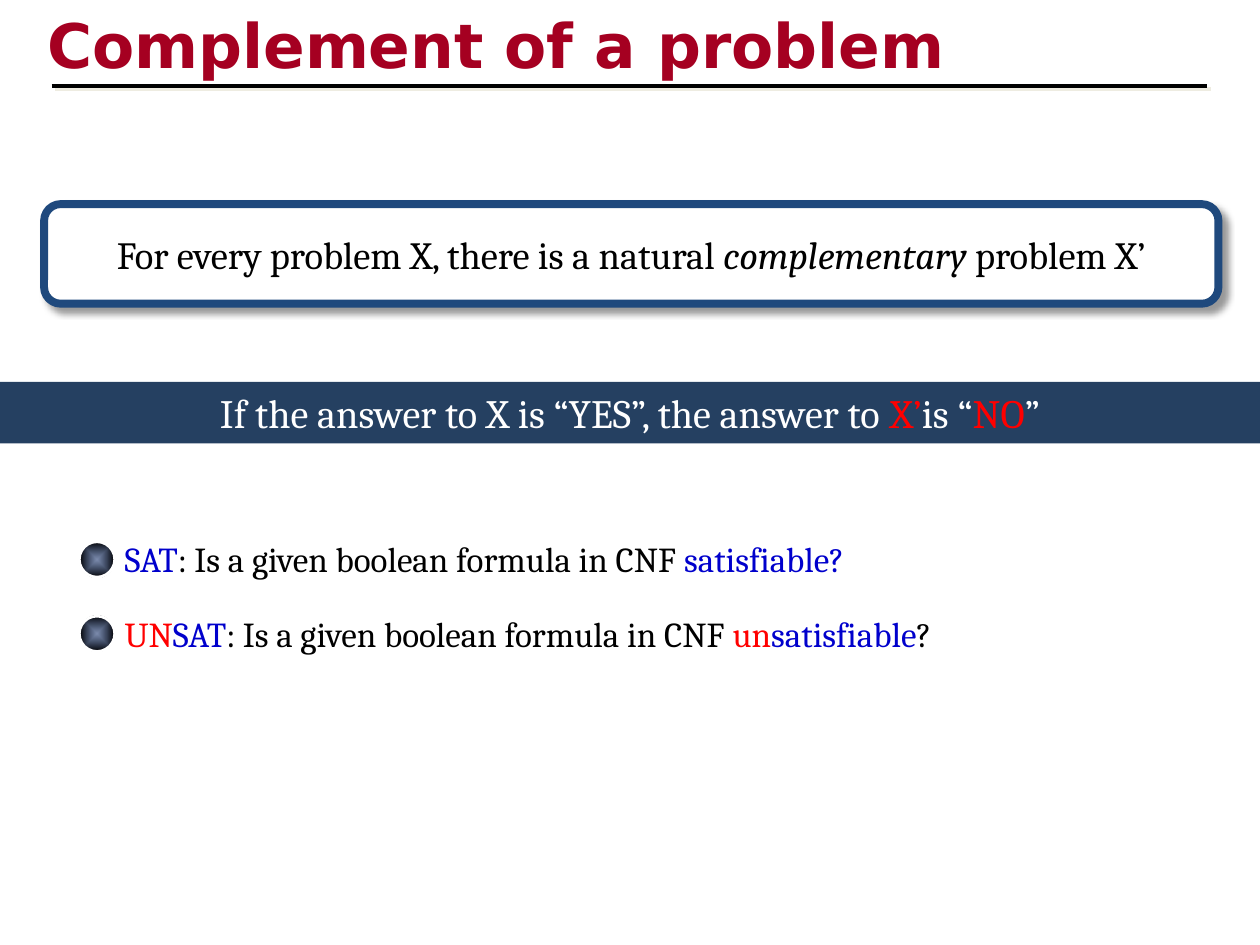
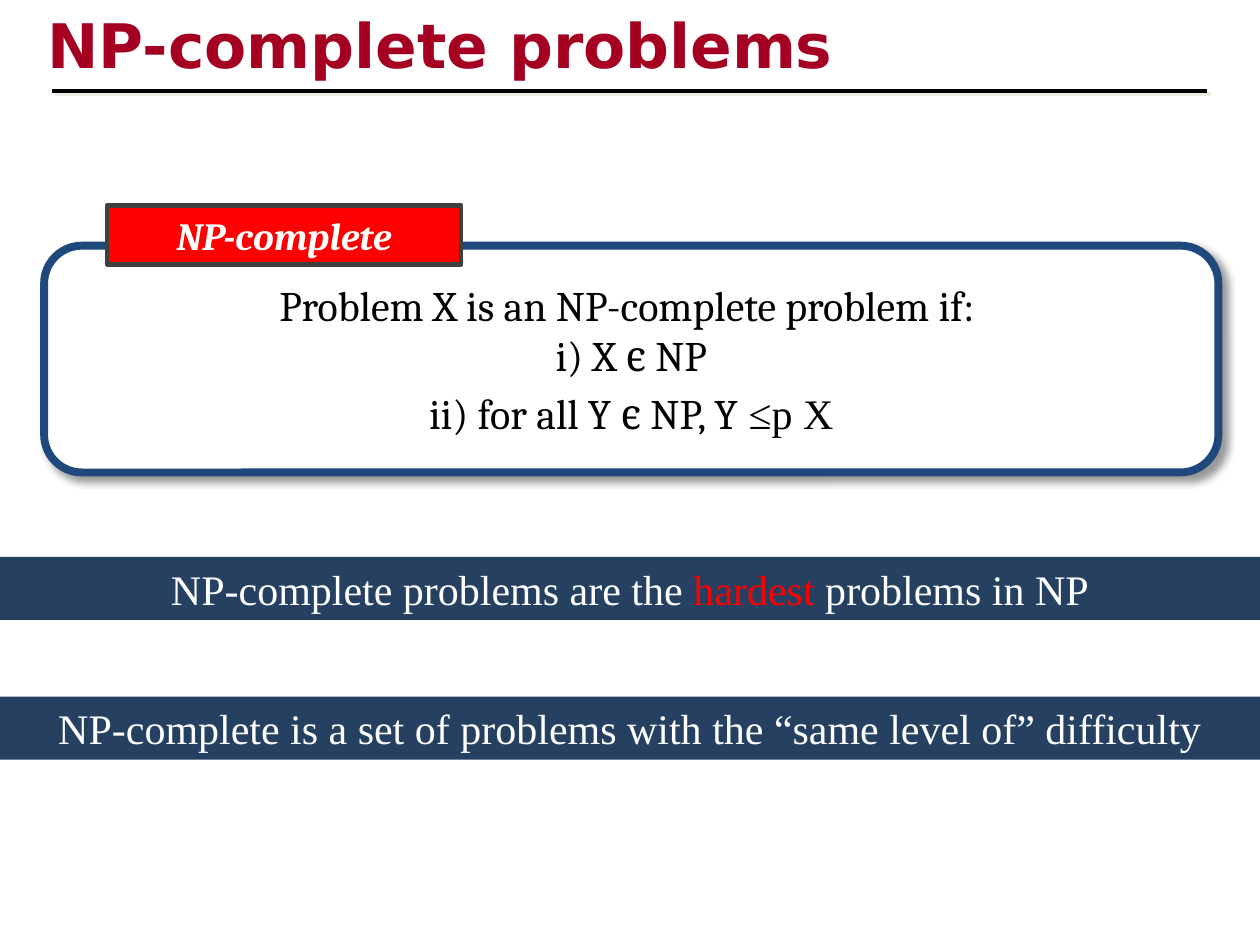
from dataclasses import dataclass
from typing import Optional

from lxml import etree
from pptx import Presentation
from pptx.dml.color import RGBColor
from pptx.enum.shapes import MSO_CONNECTOR, MSO_SHAPE
from pptx.enum.text import MSO_ANCHOR, MSO_AUTO_SIZE, PP_ALIGN
from pptx.oxml.ns import qn
from pptx.shapes.autoshape import Shape
from pptx.slide import Slide
from pptx.util import Inches, Pt

RECTANGLE = MSO_SHAPE.RECTANGLE
ROUNDED = MSO_SHAPE.ROUNDED_RECTANGLE
OVAL = MSO_SHAPE.OVAL
STRAIGHT = MSO_CONNECTOR.STRAIGHT
TOP, MIDDLE = MSO_ANCHOR.TOP, MSO_ANCHOR.MIDDLE
LEFT, CENTER = PP_ALIGN.LEFT, PP_ALIGN.CENTER
GROW, FIXED = MSO_AUTO_SIZE.SHAPE_TO_FIT_TEXT, MSO_AUTO_SIZE.NONE


@dataclass(frozen=True)
class Theme:
    title: str = "A50021"
    title_shadow: str = "EEECE1"
    black: str = "000000"
    white: str = "FFFFFF"
    red: str = "FF0000"
    blue: str = "0000CC"
    frame: str = "1F497D"
    band: str = "254061"
    label_border: str = "404040"
    bullet: str = "002060"
    title_font: str = "DejaVu Sans"
    body_font: str = "Cambria"
    band_font: str = "Times New Roman"
    title_size: float = 35.1
    item_size: float = 20
    text_size: float = 22
    band_size: float = 23
    large_size: float = 24
    gap_size: float = 28


THEME = Theme()


@dataclass(frozen=True)
class Run:
    text: str
    color: str = THEME.black
    size: float = THEME.text_size
    font: str = THEME.body_font
    bold: bool = False
    italic: bool = False


@dataclass(frozen=True)
class Box:
    left: float
    top: float
    width: float
    height: float

    def lengths(self) -> list[int]:
        return [Inches(value) for value in (self.left, self.top, self.width, self.height)]


@dataclass(frozen=True)
class Shadow:
    color: str
    opacity: int
    blur: float
    distance: float


@dataclass(frozen=True)
class Band:
    top: float
    height: float
    runs: list[Run]


TITLE_SHADOW = Shadow(THEME.title_shadow, 100, 0, 2.8)
FRAME_SHADOW = Shadow(THEME.black, 40, 4, 4)


def add_color(parent: etree._Element, color: str, opacity: int) -> None:
    element = etree.SubElement(parent, qn("a:srgbClr"), val=color)
    if opacity < 100:
        etree.SubElement(element, qn("a:alpha"), val=str(opacity * 1000))


def shadow_effect(shadow: Shadow) -> etree._Element:
    effects = etree.Element(qn("a:effectLst"))
    outer = etree.SubElement(
        effects, qn("a:outerShdw"), blurRad=str(Pt(shadow.blur)),
        dist=str(Pt(shadow.distance)), dir="2700000", algn="tl", rotWithShape="0",
    )
    add_color(outer, shadow.color, shadow.opacity)
    return effects


def radial_fill(center: str, opacity: int, edge: str) -> etree._Element:
    gradient = etree.Element(qn("a:gradFill"), rotWithShape="1")
    stops = etree.SubElement(gradient, qn("a:gsLst"))
    for position, color, alpha in ((0, center, opacity), (100, edge, 100)):
        stop = etree.SubElement(stops, qn("a:gs"), pos=str(position * 1000))
        add_color(stop, color, alpha)
    shading = etree.SubElement(gradient, qn("a:path"), {"path": "shape"})
    etree.SubElement(shading, qn("a:fillToRect"), l="50000", t="50000", r="50000", b="50000")
    return gradient


def write(shape: Shape, paragraphs: list[list[Run]], align: PP_ALIGN = CENTER,
          anchor: MSO_ANCHOR = TOP, wrap: bool = True,
          auto_size: MSO_AUTO_SIZE = GROW) -> None:
    frame = shape.text_frame
    frame.word_wrap = wrap
    frame.auto_size = auto_size
    frame.vertical_anchor = anchor
    for index, runs in enumerate(paragraphs):
        paragraph = frame.add_paragraph() if index else frame.paragraphs[0]
        paragraph.alignment = align
        for style in runs:
            run = paragraph.add_run()
            run.text = style.text
            font = run.font
            font.size = Pt(style.size)
            font.bold = style.bold
            font.italic = style.italic
            font.color.rgb = RGBColor.from_string(style.color)
            font.name = style.font


def add_shape(shapes, kind: MSO_SHAPE, box: Box, fill: str,
              line: Optional[str] = None, weight: float = 0) -> Shape:
    shape = shapes.add_shape(kind, *box.lengths())
    shape.shadow.inherit = False
    shape.fill.solid()
    shape.fill.fore_color.rgb = RGBColor.from_string(fill)
    if line:
        shape.line.color.rgb = RGBColor.from_string(line)
        shape.line.width = Pt(weight)
    else:
        shape.line.fill.background()
    return shape


def add_title(slide: Slide, text: str, rule_top: float) -> None:
    title = slide.shapes.add_textbox(*Box(0.28, 0.01, 8.5, 0.67).lengths())
    style = Run(text, THEME.title, THEME.title_size, THEME.title_font, bold=True)
    write(title, [[style]], align=LEFT, auto_size=FIXED)
    fill = title.text_frame.paragraphs[0].runs[0].font._element.find(qn("a:solidFill"))
    fill.addnext(shadow_effect(TITLE_SHADOW))
    rule = slide.shapes.add_connector(
        STRAIGHT, Inches(0.41), Inches(rule_top), Inches(9.58), Inches(rule_top))
    rule.line.color.rgb = RGBColor.from_string(THEME.black)
    rule.line.width = Pt(2.25)
    rule._element.spPr.append(shadow_effect(TITLE_SHADOW))


def add_frame(slide: Slide, top: float, height: float, paragraphs: list[list[Run]]) -> None:
    frame = add_shape(slide.shapes, ROUNDED, Box(0.35, top, 9.32, height),
                      THEME.white, THEME.frame, 4.5)
    properties = frame._element.spPr
    properties.replace(properties.find(qn("a:effectLst")), shadow_effect(FRAME_SHADOW))
    write(frame, paragraphs, anchor=MIDDLE, wrap=False, auto_size=FIXED)


def add_band(slide: Slide, band: Band) -> None:
    shape = add_shape(slide.shapes, RECTANGLE, Box(0, band.top, 10, band.height), THEME.band)
    write(shape, [band.runs])


def add_item(slide: Slide, top: float, runs: list[Run]) -> None:
    group = slide.shapes.add_group_shape()
    bullet = add_shape(group.shapes, OVAL, Box(0.63, top + 0.08, 0.28, 0.28),
                       THEME.bullet, THEME.white, 1.5)
    properties = bullet._element.spPr
    properties.replace(properties.find(qn("a:solidFill")),
                       radial_fill(THEME.bullet, 51, THEME.black))
    text = group.shapes.add_textbox(*Box(0.89, top, 8.8, 0.44).lengths())
    write(text, [runs], align=LEFT)


def item_run(text: str, color: str = THEME.black) -> Run:
    return Run(text, color, THEME.item_size)


def band_run(text: str, color: str = THEME.white) -> Run:
    return Run(text, color, THEME.band_size)


def serif_run(text: str, color: str = THEME.white) -> Run:
    return Run(text, color, THEME.large_size, THEME.band_font)


def definition_run(text: str) -> Run:
    return Run(text, size=THEME.large_size)


def build_complement(slide: Slide) -> None:
    add_title(slide, "Complement of a problem", 0.68)
    add_frame(slide, 1.62, 0.79, [[
        Run("For every problem X, there is a natural "),
        Run("complementary", italic=True),
        Run(" problem X’"),
    ]])
    question = item_run(": Is a given boolean formula in CNF ")
    items = [
        [item_run("SAT", THEME.blue), question, item_run("satisfiable?", THEME.blue)],
        [item_run("UN", THEME.red), item_run("SAT", THEME.blue), question,
         item_run("un", THEME.red), item_run("satisfiable", THEME.blue), item_run("?")],
    ]
    for index, runs in enumerate(items):
        add_item(slide, 4.22 + 0.59 * index, runs)
    add_band(slide, Band(3.03, 0.49, [
        band_run("If the answer to X is “YES”, the answer to "),
        band_run("X’", THEME.red),
        band_run("is “"),
        band_run("NO", THEME.red),
        band_run("”"),
    ]))


def build_np_complete(slide: Slide) -> None:
    add_title(slide, "NP-complete problems", 0.72)
    add_frame(slide, 1.95, 1.8, [
        [definition_run("Problem X is an NP-complete problem if: ")],
        [definition_run("i) X є NP")],
        [definition_run("ii) for all Y є NP, Y"), Run(" ", size=THEME.gap_size),
         serif_run("≤p X", THEME.black)],
    ])
    label = add_shape(slide.shapes, RECTANGLE, Box(0.85, 1.63, 2.81, 0.47),
                      THEME.red, THEME.label_border, 2.5)
    write(label, [[Run("NP-complete", THEME.white, bold=True, italic=True)]])
    bands = [
        Band(4.42, 0.5, [
            serif_run("NP-complete problems are the "),
            serif_run("hardest", THEME.red),
            serif_run(" problems in NP"),
        ]),
        Band(5.53, 0.5, [
            serif_run("NP-complete is a set of problems with the “same level of” difficulty"),
        ]),
    ]
    for band in bands:
        add_band(slide, band)


def main() -> None:
    presentation = Presentation()
    presentation.slide_width = Inches(10)
    presentation.slide_height = Inches(7.5)
    blank = presentation.slide_layouts[6]
    for build in (build_complement, build_np_complete):
        build(presentation.slides.add_slide(blank))
    presentation.save("out.pptx")


if __name__ == "__main__":
    main()
